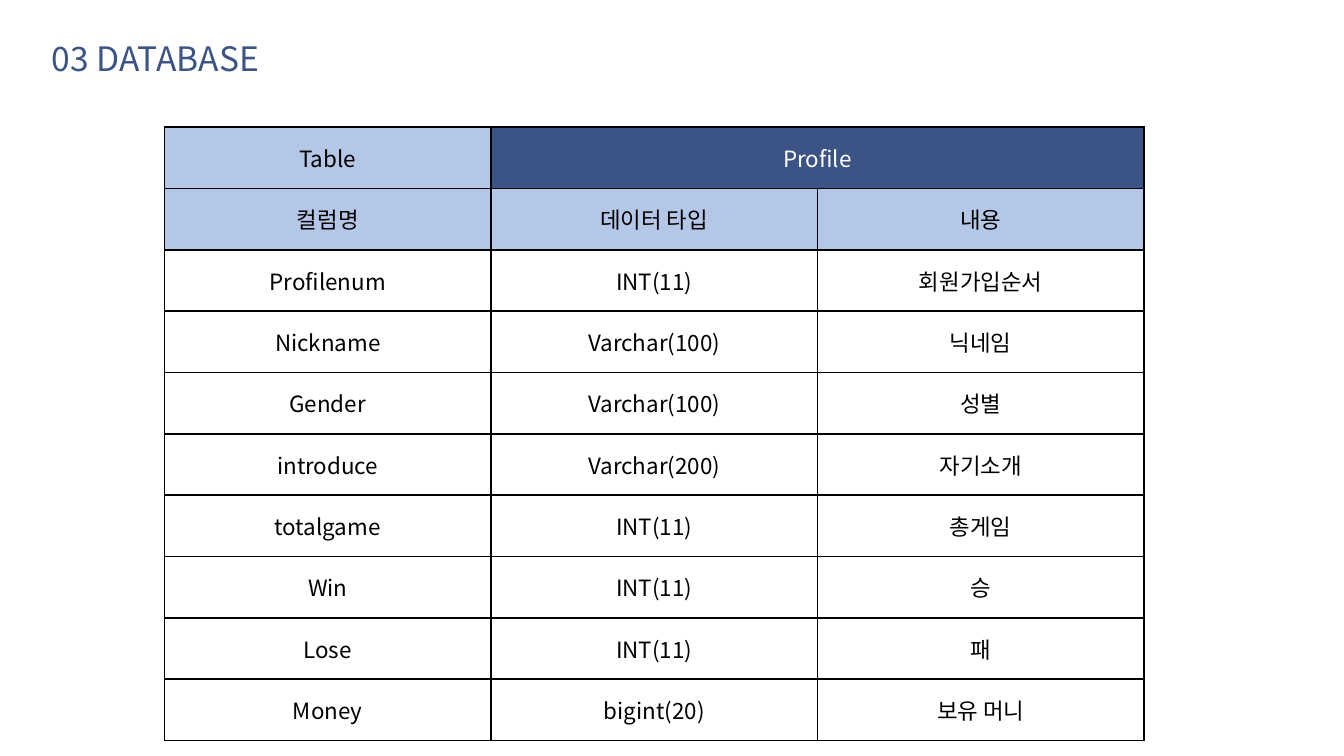
from typing import NamedTuple

from lxml import etree
from pptx import Presentation
from pptx.dml.color import RGBColor
from pptx.enum.text import MSO_ANCHOR, PP_ALIGN
from pptx.oxml.ns import qn
from pptx.util import Cm, Pt

CENTER = PP_ALIGN.CENTER
MIDDLE = MSO_ANCHOR.MIDDLE

NAVY = RGBColor(0x3B, 0x53, 0x85)
LIGHT_BLUE = RGBColor(0xB4, 0xC7, 0xE7)
BLACK = RGBColor(0, 0, 0)
WHITE = RGBColor(0xFF, 0xFF, 0xFF)

FONT = "Noto Sans CJK KR"
ROW_HEIGHT = Cm(1.16)
COLUMN_WIDTH = Cm(6.17)


class Column(NamedTuple):
    name: str
    data_type: str
    meaning: str


class CellStyle(NamedTuple):
    color: RGBColor
    fill: RGBColor | None = None
    margin_x: float = 0.19
    margin_y: float = 0.1


BODY = CellStyle(BLACK)
HEADING = CellStyle(BLACK, LIGHT_BLUE)
TABLE_NAME = CellStyle(WHITE, NAVY, 0.25, 0.13)

HEADINGS = Column("컬럼명", "데이터 타입", "내용")
COLUMNS = [
    Column("Profilenum", "INT(11)", "회원가입순서"),
    Column("Nickname", "Varchar(100)", "닉네임"),
    Column("Gender", "Varchar(100)", "성별"),
    Column("introduce", "Varchar(200)", "자기소개"),
    Column("totalgame", "INT(11)", "총게임"),
    Column("Win", "INT(11)", "승"),
    Column("Lose", "INT(11)", "패"),
    Column("Money", "bigint(20)", "보유 머니"),
]


def format_text(paragraph, size: int, color: RGBColor) -> None:
    """Format every run, for Latin and Korean letters alike."""
    for run in paragraph.runs:
        run.font.size = Pt(size)
        run.font.name = FONT
        run.font.color.rgb = color
        east_asian = etree.SubElement(run.font._element, qn("a:ea"))
        east_asian.set("typeface", FONT)


def add_borders(cell) -> None:
    """Draw a thin black line on all four sides of a cell."""
    properties = cell._tc.get_or_add_tcPr()
    for position, side in enumerate(("lnL", "lnR", "lnT", "lnB")):
        line = etree.Element(qn(f"a:{side}"), w=str(Pt(1)))
        fill = etree.SubElement(line, qn("a:solidFill"))
        etree.SubElement(fill, qn("a:srgbClr"), val=str(BLACK))
        properties.insert(position, line)


def fill_cell(cell, text: str, style: CellStyle) -> None:
    cell.text_frame.text = text
    cell.vertical_anchor = MIDDLE
    cell.margin_left = cell.margin_right = Cm(style.margin_x)
    cell.margin_top = cell.margin_bottom = Cm(style.margin_y)
    paragraph = cell.text_frame.paragraphs[0]
    paragraph.alignment = CENTER
    format_text(paragraph, 12, style.color)
    if style.fill is None:
        cell.fill.background()
    else:
        cell.fill.solid()
        cell.fill.fore_color.rgb = style.fill
    add_borders(cell)


def add_profile_table(slide) -> None:
    row_count = len(COLUMNS) + 2
    column_count = len(HEADINGS)
    table = slide.shapes.add_table(
        row_count, column_count, Cm(3.11), Cm(2.4),
        COLUMN_WIDTH * column_count, ROW_HEIGHT * row_count).table
    table.first_row = table.horz_banding = False
    for column in table.columns:
        column.width = COLUMN_WIDTH
    for row in table.rows:
        row.height = ROW_HEIGHT

    # Table name across the last two columns
    fill_cell(table.cell(0, 0), "Table", HEADING)
    fill_cell(table.cell(0, 1), "Profile", TABLE_NAME)
    add_borders(table.cell(0, 2))
    table.cell(0, 1).merge(table.cell(0, 2))

    # Headings and column definitions
    for row_index, definition in enumerate([HEADINGS, *COLUMNS], start=1):
        style = HEADING if definition is HEADINGS else BODY
        for column_index, text in enumerate(definition):
            fill_cell(table.cell(row_index, column_index), text, style)


def add_title(slide, text: str) -> None:
    title = slide.shapes.add_textbox(Cm(0.79), Cm(0.61), Cm(5.94), Cm(0.97))
    frame = title.text_frame
    frame.word_wrap = True
    frame.margin_left = frame.margin_right = Cm(0.19)
    frame.margin_top = frame.margin_bottom = Cm(0.1)
    frame.text = text
    format_text(frame.paragraphs[0], 18, NAVY)


def main() -> None:
    presentation = Presentation()
    presentation.slide_width = Cm(25.4)
    presentation.slide_height = Cm(14.29)
    slide = presentation.slides.add_slide(presentation.slide_layouts[6])
    add_profile_table(slide)
    add_title(slide, "03 DATABASE")
    presentation.save("out.pptx")


if __name__ == "__main__":
    main()
